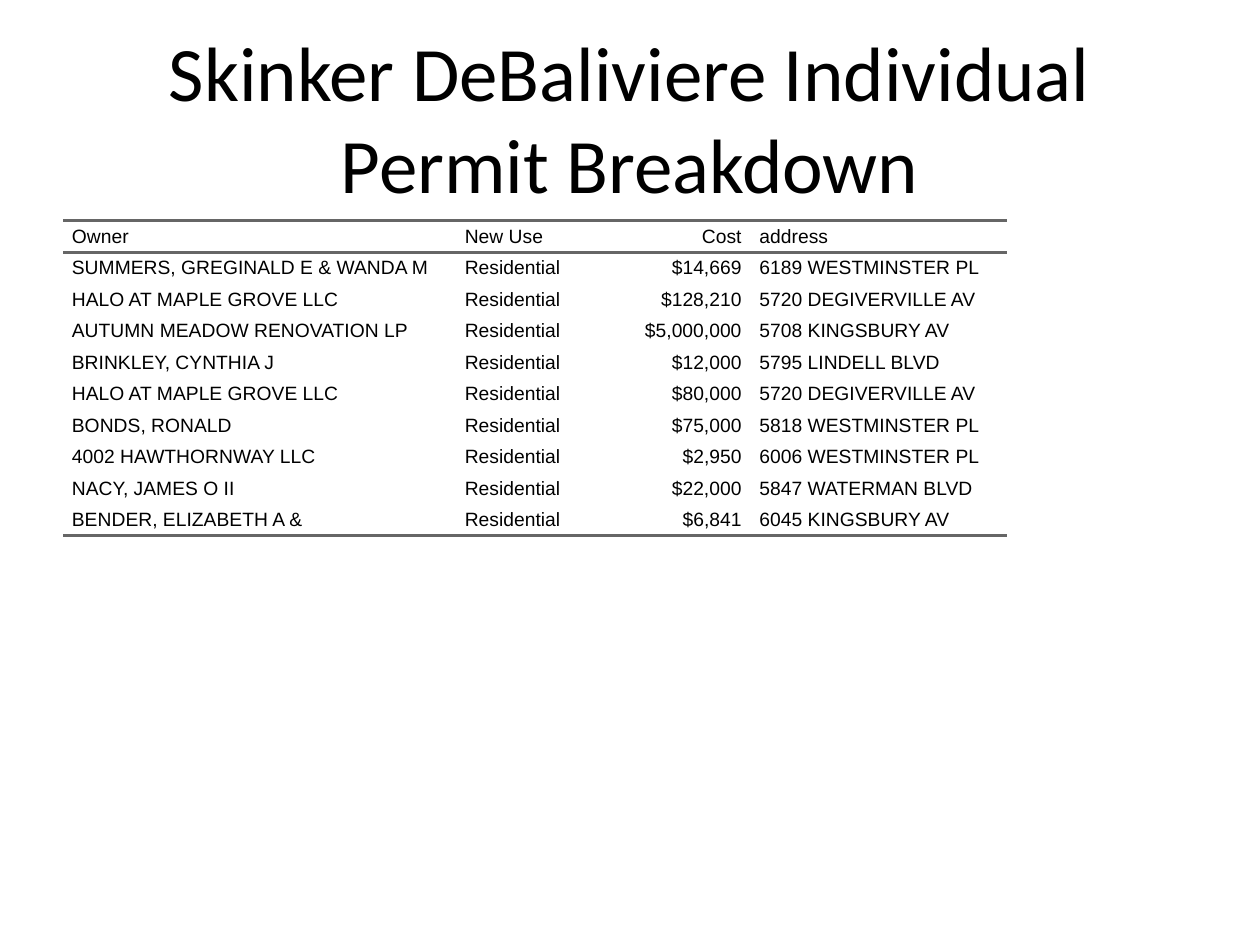
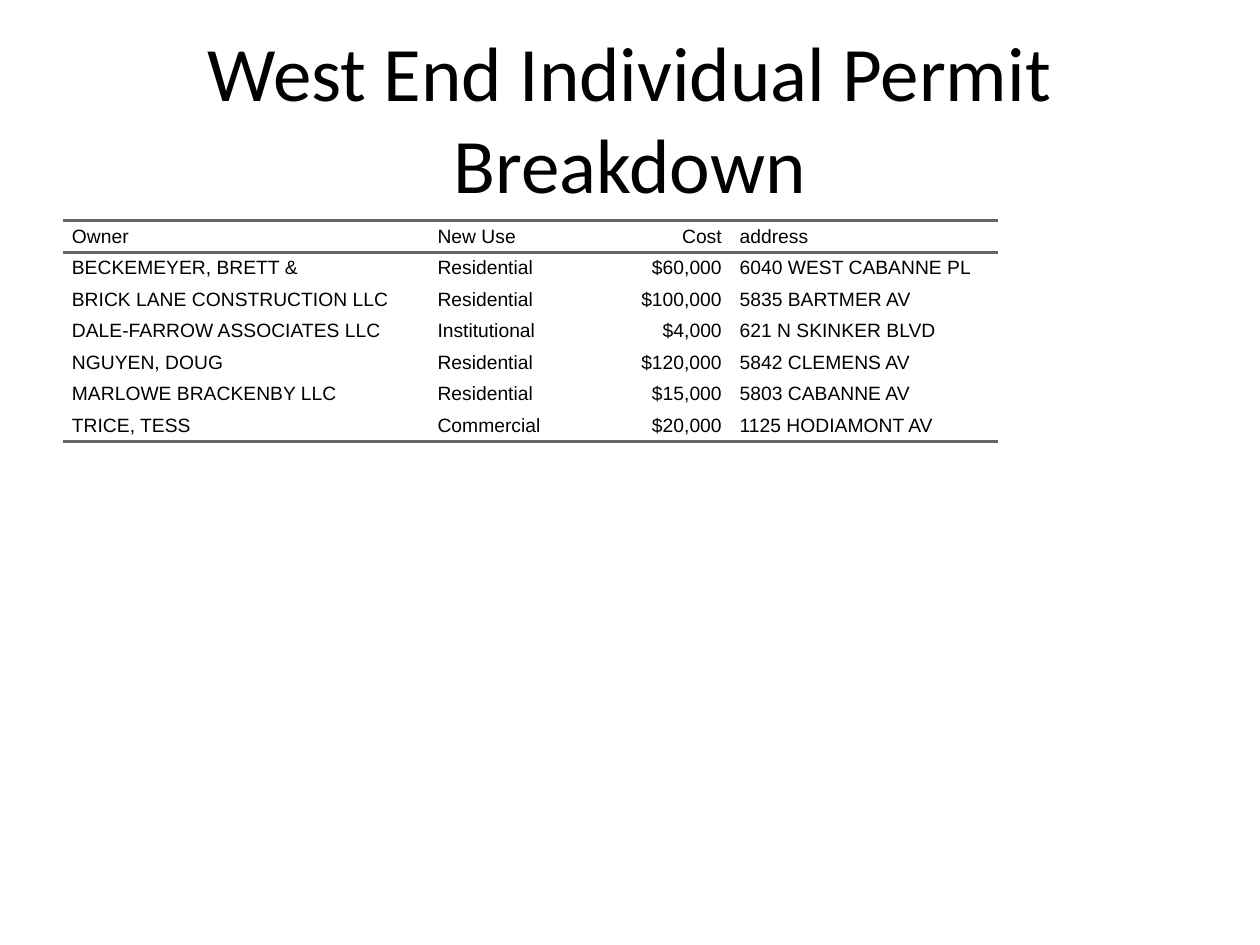
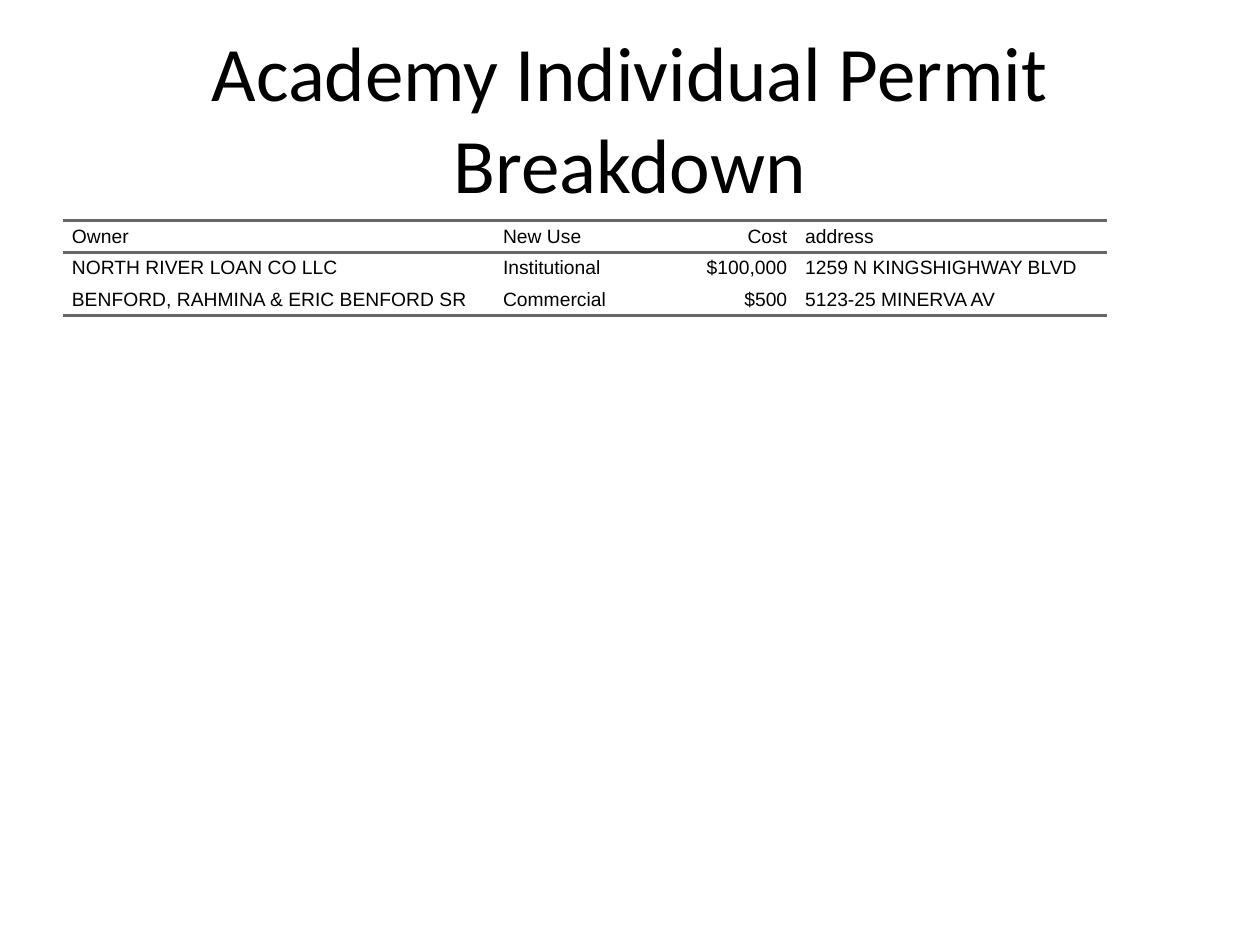
from dataclasses import dataclass

from lxml.etree import SubElement
from pptx import Presentation
from pptx.dml.color import RGBColor
from pptx.enum.text import MSO_ANCHOR, PP_ALIGN
from pptx.oxml.ns import qn
from pptx.slide import Slide
from pptx.table import _Cell
from pptx.text.text import _Paragraph
from pptx.util import Cm, Pt


# Shared look
@dataclass(frozen=True)
class Theme:
    ink: RGBColor = RGBColor(0, 0, 0)
    rule: str = "666666"
    head: str = "Calibri"
    body: str = "Arial"
    big: Pt = Pt(44)
    small: Pt = Pt(11)
    line: Pt = Pt(2)
    left: Cm = Cm(1.27)
    width: Cm = Cm(22.86)
    row: int = Cm(2.54) // 4
    pad: Cm = Cm(0.18)


@dataclass(frozen=True)
class Permit:
    owner: str
    use: str
    cost: int
    place: str

    def texts(self) -> tuple[str, ...]:
        return self.owner, self.use, f"${self.cost:,}", self.place


@dataclass(frozen=True)
class Area:
    name: str
    widths: tuple[float, ...]
    permits: tuple[Permit, ...]


THEME = Theme()
HEADS = ("Owner", "New Use", "Cost", "address")
HOME, WORK, CIVIC = "Residential", "Commercial", "Institutional"

# Permits by area, column widths in centimetres
AREAS = (
    Area("Skinker DeBaliviere", (7.92, 2.64, 3.3, 5.16), (
        Permit("SUMMERS, GREGINALD E & WANDA M", HOME, 14669, "6189 WESTMINSTER PL"),
        Permit("HALO AT MAPLE GROVE LLC", HOME, 128210, "5720 DEGIVERVILLE AV"),
        Permit("AUTUMN MEADOW RENOVATION LP", HOME, 5000000, "5708 KINGSBURY AV"),
        Permit("BRINKLEY, CYNTHIA J", HOME, 12000, "5795 LINDELL BLVD"),
        Permit("HALO AT MAPLE GROVE LLC", HOME, 80000, "5720 DEGIVERVILLE AV"),
        Permit("BONDS, RONALD", HOME, 75000, "5818 WESTMINSTER PL"),
        Permit("4002 HAWTHORNWAY LLC", HOME, 2950, "6006 WESTMINSTER PL"),
        Permit("NACY, JAMES O II", HOME, 22000, "5847 WATERMAN BLVD"),
        Permit("BENDER, ELIZABETH A &", HOME, 6841, "6045 KINGSBURY AV"),
    )),
    Area("West End", (7.37, 2.79, 3.3, 5.38), (
        Permit("BECKEMEYER, BRETT &", HOME, 60000, "6040 WEST CABANNE PL"),
        Permit("BRICK LANE CONSTRUCTION LLC", HOME, 100000, "5835 BARTMER AV"),
        Permit("DALE-FARROW ASSOCIATES LLC", CIVIC, 4000, "621 N SKINKER BLVD"),
        Permit("NGUYEN, DOUG", HOME, 120000, "5842 CLEMENS AV"),
        Permit("MARLOWE BRACKENBY LLC", HOME, 15000, "5803 CABANNE AV"),
        Permit("TRICE, TESS", WORK, 20000, "1125 HODIAMONT AV"),
    )),
    Area("Academy", (8.69, 2.79, 3.3, 6.27), (
        Permit("NORTH RIVER LOAN CO LLC", CIVIC, 100000, "1259 N KINGSHIGHWAY BLVD"),
        Permit("BENFORD, RAHMINA & ERIC BENFORD SR", WORK, 500, "5123-25 MINERVA AV"),
    )),
)


def add_run(para: _Paragraph, text: str, font: str, size: Pt) -> None:
    run = para.add_run()
    run.text = text
    run.font.name = font
    run.font.size = size
    run.font.color.rgb = THEME.ink


def add_title(slide: Slide, text: str) -> None:
    box = slide.shapes.add_textbox(THEME.left, Cm(0.76), THEME.width, Cm(3.18))
    frame = box.text_frame
    frame.word_wrap = True
    frame.vertical_anchor = MSO_ANCHOR.MIDDLE
    para = frame.paragraphs[0]
    para.alignment = PP_ALIGN.CENTER
    add_run(para, text, THEME.head, THEME.big)


def set_edges(cell: _Cell, ruled: str) -> None:
    """Rule the named edges (of L, R, T, B) and clear the others."""
    props = cell._tc.get_or_add_tcPr()
    for spot, edge in enumerate("LRTB"):
        line = SubElement(props, qn(f"a:ln{edge}"), w=str(THEME.line))
        if edge in ruled:
            fill = SubElement(line, qn("a:solidFill"))
            SubElement(fill, qn("a:srgbClr"), val=THEME.rule)
        else:
            SubElement(line, qn("a:noFill"))
        props.insert(spot, line)


def fill_cell(cell: _Cell, text: str, right: bool, ruled: str) -> None:
    cell.margin_left = cell.margin_right = 0
    cell.margin_top = cell.margin_bottom = 0
    cell.vertical_anchor = MSO_ANCHOR.MIDDLE
    cell.fill.background()
    set_edges(cell, ruled)
    para = cell.text_frame.paragraphs[0]
    para.alignment = PP_ALIGN.RIGHT if right else PP_ALIGN.LEFT
    props = para._p.get_or_add_pPr()
    for side in ("marL", "marR"):
        props.set(side, str(THEME.pad))
    add_run(para, text, THEME.body, THEME.small)


def add_grid(slide: Slide, area: Area) -> None:
    rows = [HEADS, *(permit.texts() for permit in area.permits)]
    high = Cm(12.57)
    frame = slide.shapes.add_table(
        len(rows), len(HEADS), THEME.left, Cm(4.45), THEME.width, high)
    table = frame.table
    table.first_row = table.horz_banding = False
    for col, width in zip(table.columns, area.widths):
        col.width = Cm(width)
    for num, texts in enumerate(rows):
        table.rows[num].height = THEME.row
        # Rules frame the header row and close the table
        ruled = "T" if num < 2 else ""
        if num in (0, len(rows) - 1):
            ruled += "B"
        for col, text in enumerate(texts):
            fill_cell(table.cell(num, col), text, HEADS[col] == "Cost", ruled)
    frame.width, frame.height = THEME.width, high


def main() -> None:
    deck = Presentation()
    deck.slide_width, deck.slide_height = Cm(25.4), Cm(19.05)
    for area in AREAS:
        slide = deck.slides.add_slide(deck.slide_layouts[6])
        add_title(slide, f"{area.name} Individual Permit Breakdown")
        add_grid(slide, area)
    deck.save("out.pptx")


if __name__ == "__main__":
    main()
